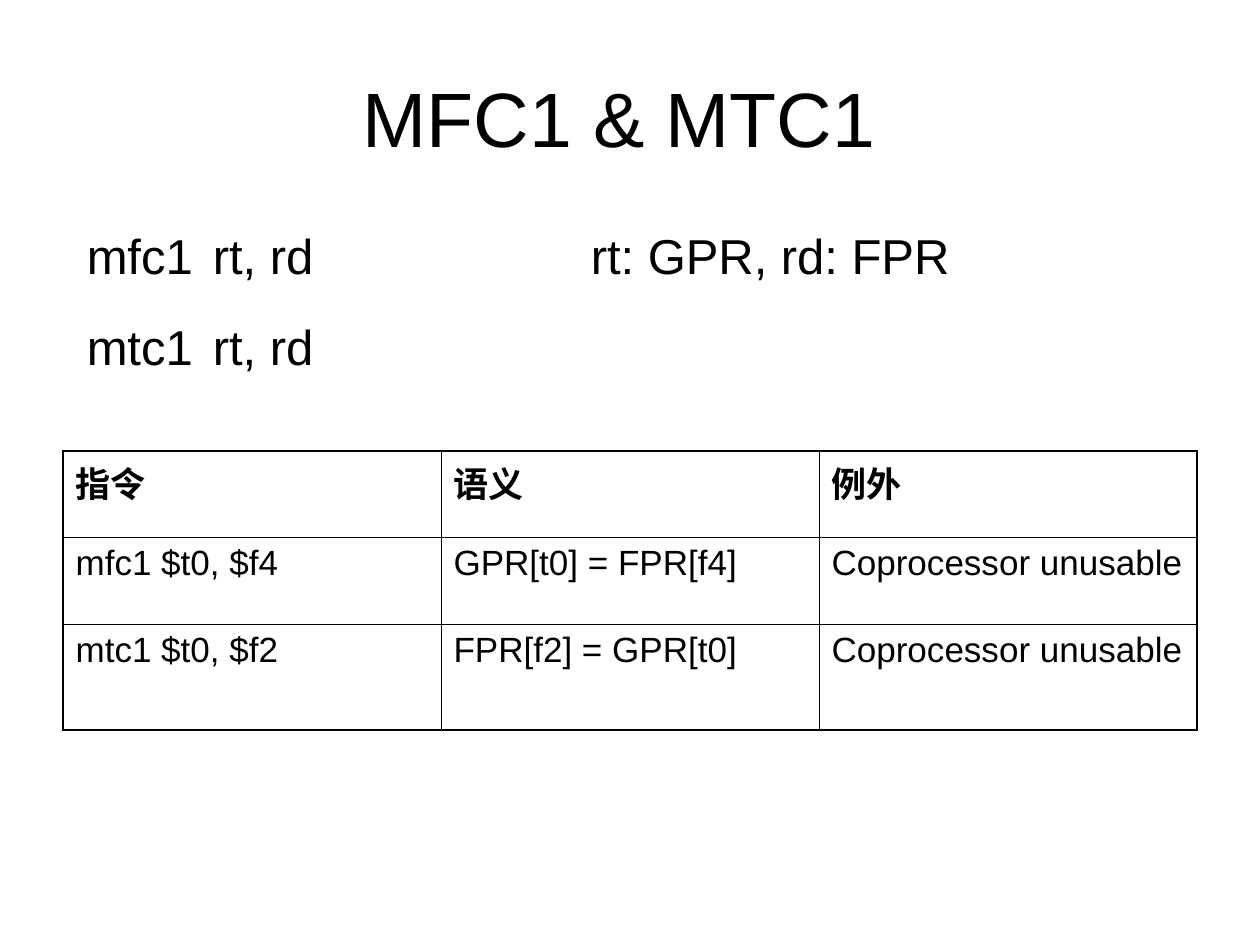
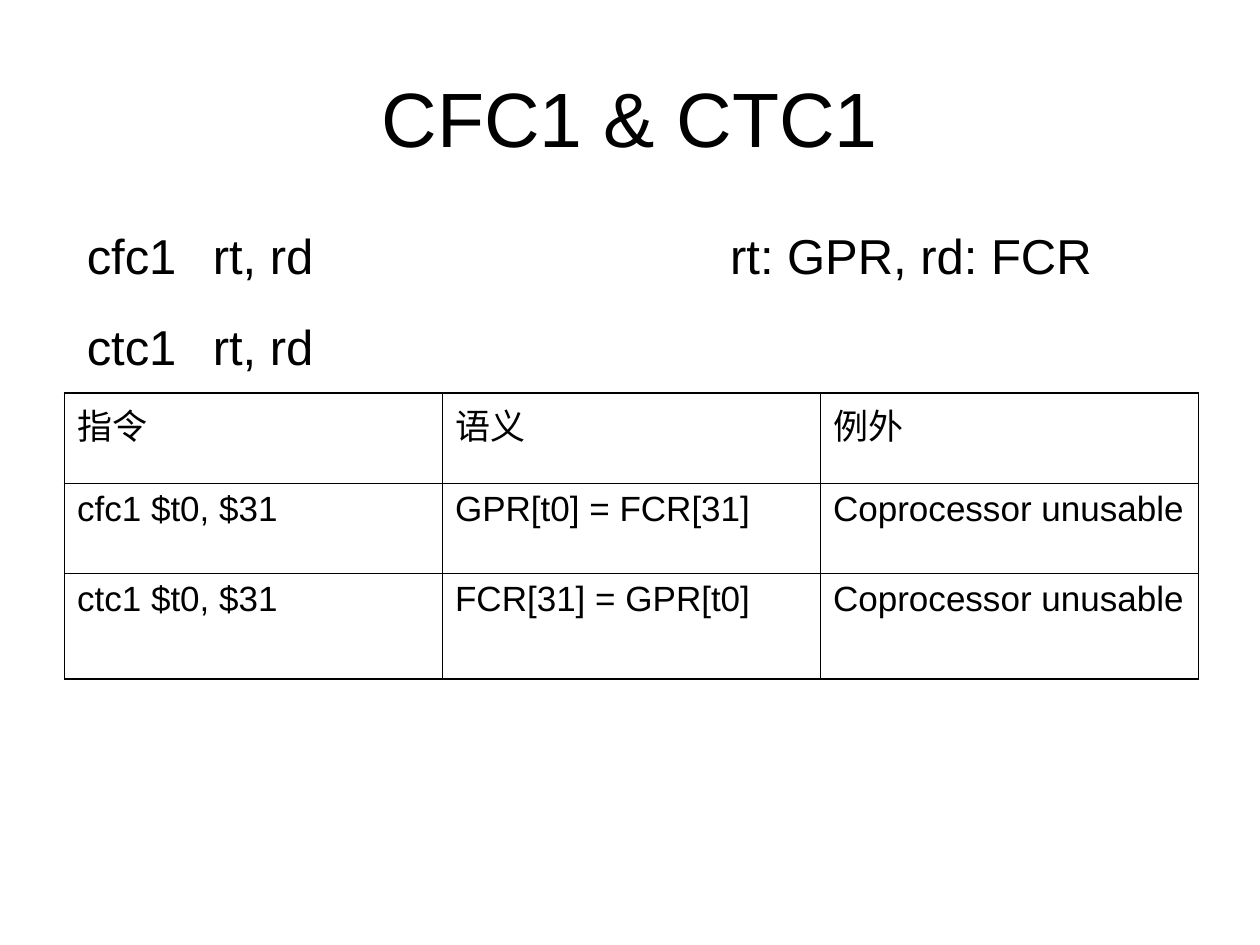
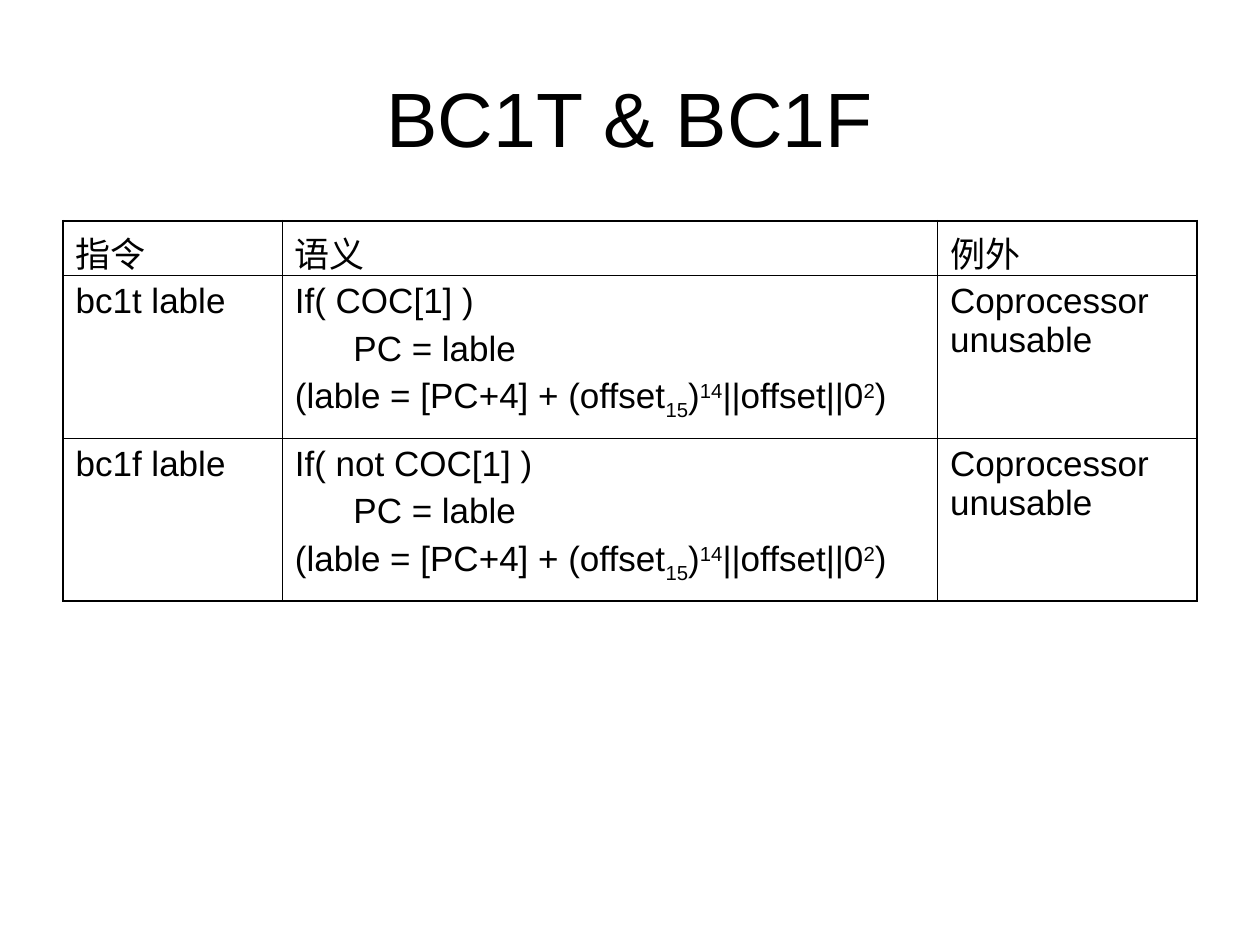
from pptx import Presentation
from pptx.dml.color import RGBColor
from pptx.enum.text import MSO_ANCHOR, PP_ALIGN
from pptx.oxml.ns import qn
from pptx.util import Cm, Pt
from lxml.etree import SubElement

INK = "000000"
FONT = "Arial"
OUTER_RULE, INNER_RULE = Pt(1.08), Pt(0.45)
TABLE_LEFT = 1.27
EQUAL_COLUMNS = [7.62] * 3
HEADINGS = ["指令", "语义", "例外"]
EXCEPTION = "Coprocessor unusable"
SUBSCRIPT, SUPERSCRIPT = -25000, 30000
CODE_INDENT = 1.18
TARGET = [
    ("(lable = [PC+4] + (offset", 0), ("15", SUBSCRIPT), (")", 0),
    ("14", SUPERSCRIPT), ("||offset||0", 0), ("2", SUPERSCRIPT), (")", 0),
]


def colour(hex_value):
    return RGBColor.from_string(hex_value)


def apply(target, values):
    for attribute, value in values.items():
        setattr(target, attribute, value)


def write_run(paragraph, text, size, bold=False, baseline=0):
    run = paragraph.add_run()
    run.text = text
    apply(run.font, {"name": FONT, "size": Pt(size), "bold": bold})
    run.font.color.rgb = colour(INK)
    if baseline:
        run.font._element.set("baseline", str(baseline))


def add_tab_stops(paragraph, stops):
    stop_list = SubElement(paragraph._p.get_or_add_pPr(), qn("a:tabLst"))
    for stop in stops:
        SubElement(stop_list, qn("a:tab"), pos=str(Cm(stop)), algn="l")


def add_frame(slide, left, top, width, height, values):
    frame = slide.shapes.add_textbox(Cm(left), Cm(top), Cm(width), Cm(height)).text_frame
    apply(frame, {"word_wrap": True, **values})
    return frame


def add_title(slide, title):
    frame = add_frame(slide, 1.27, 0.76, 22.86, 3.18, {"vertical_anchor": MSO_ANCHOR.MIDDLE})
    heading = frame.paragraphs[0]
    heading.alignment = PP_ALIGN.CENTER
    write_run(heading, title, 44)


def add_syntax(slide, lines, width, stops):
    frame = add_frame(slide, 1.5, 4.32, width, 3.25, {"margin_top": Cm(0.23)})
    for index, line in enumerate(lines):
        syntax = frame.add_paragraph() if index else frame.paragraphs[0]
        add_tab_stops(syntax, stops)
        if index:
            syntax.space_before = Pt(18.5)
        write_run(syntax, line, 28)


def add_borders(cell, rules):
    properties = cell._tc.get_or_add_tcPr()
    for side, width in rules.items():
        rule = SubElement(properties, qn(f"a:ln{side}"), w=str(width))
        fill = SubElement(rule, qn("a:solidFill"))
        SubElement(fill, qn("a:srgbClr"), val=INK)


def write_cell(cell, content, bold):
    lines = content if isinstance(content, list) else [(content, 0)]
    for index, (line, indent) in enumerate(lines):
        paragraph = cell.text_frame.add_paragraph() if index else cell.text_frame.paragraphs[0]
        if indent:
            paragraph._p.get_or_add_pPr().set("marL", str(Cm(indent)))
        if index:
            paragraph.space_before = Pt(5)
        for text, baseline in line if isinstance(line, list) else [(line, 0)]:
            write_run(paragraph, text, 20, bold, baseline)


def add_instructions(slide, left, top, widths, heights, rows, bold_headings=False):
    table = slide.shapes.add_table(
        len(heights), len(widths), Cm(left), Cm(top), Cm(sum(widths)), Cm(sum(heights))
    ).table
    apply(table, {"first_row": False, "horz_banding": False})
    for column, width in zip(table.columns, widths):
        column.width = Cm(width)
    for row, height in zip(table.rows, heights):
        row.height = Cm(height)
    last_row, last_column = len(heights) - 1, len(widths) - 1
    for r, contents in enumerate([HEADINGS] + rows):
        for c, content in enumerate(contents):
            cell = table.cell(r, c)
            edges = {"L": c == 0, "R": c == last_column, "T": r == 0, "B": r == last_row}
            add_borders(cell, {
                side: OUTER_RULE if outer else INNER_RULE for side, outer in edges.items()
            })
            cell.fill.background()
            write_cell(cell, content, bold_headings and r == 0)


def branch_row(instruction, condition):
    action = [(condition, 0), ("PC = lable", CODE_INDENT), (TARGET, 0)]
    return [instruction, action, EXCEPTION]


def add_titled_slide(deck, title):
    slide = deck.slides.add_slide(deck.slide_layouts[6])
    add_title(slide, title)
    return slide


def main():
    deck = Presentation()
    apply(deck, {"slide_width": Cm(25.4), "slide_height": Cm(19.05)})

    moves = add_titled_slide(deck, "MFC1 & MTC1 ")
    add_instructions(moves, TABLE_LEFT, 9.09, EQUAL_COLUMNS, [1.75, 1.75, 2.13], [
        ["mfc1 $t0, $f4", "GPR[t0] = FPR[f4]", EXCEPTION],
        ["mtc1 $t0, $f2", "FPR[f2] = GPR[t0]", EXCEPTION],
    ], bold_headings=True)
    add_syntax(moves, ["mfc1\trt, rd\trt: GPR, rd: FPR", "mtc1\trt, rd"], 22.2, [2.54, 10.16])

    controls = add_titled_slide(deck, "CFC1 & CTC1")
    add_instructions(controls, 1.3, 7.92, EQUAL_COLUMNS, [1.82, 1.82, 2.13], [
        ["cfc1 $t0, $31", "GPR[t0] = FCR[31]", EXCEPTION],
        ["ctc1 $t0, $31", "FCR[31] = GPR[t0]", EXCEPTION],
    ])
    add_syntax(controls, ["cfc1\trt, rd\trt: GPR, rd: FCR", "ctc1\trt, rd"], 22.4, [2.54, 12.97])

    branches = add_titled_slide(deck, "BC1T & BC1F")
    add_instructions(branches, TABLE_LEFT, 4.45, [4.42, 13.21, 5.23], [1.09, 3.28, 3.28], [
        branch_row("bc1t lable", "If( COC[1] )"),
        branch_row("bc1f lable", "If( not COC[1] )"),
    ])

    deck.save("out.pptx")


if __name__ == "__main__":
    main()
